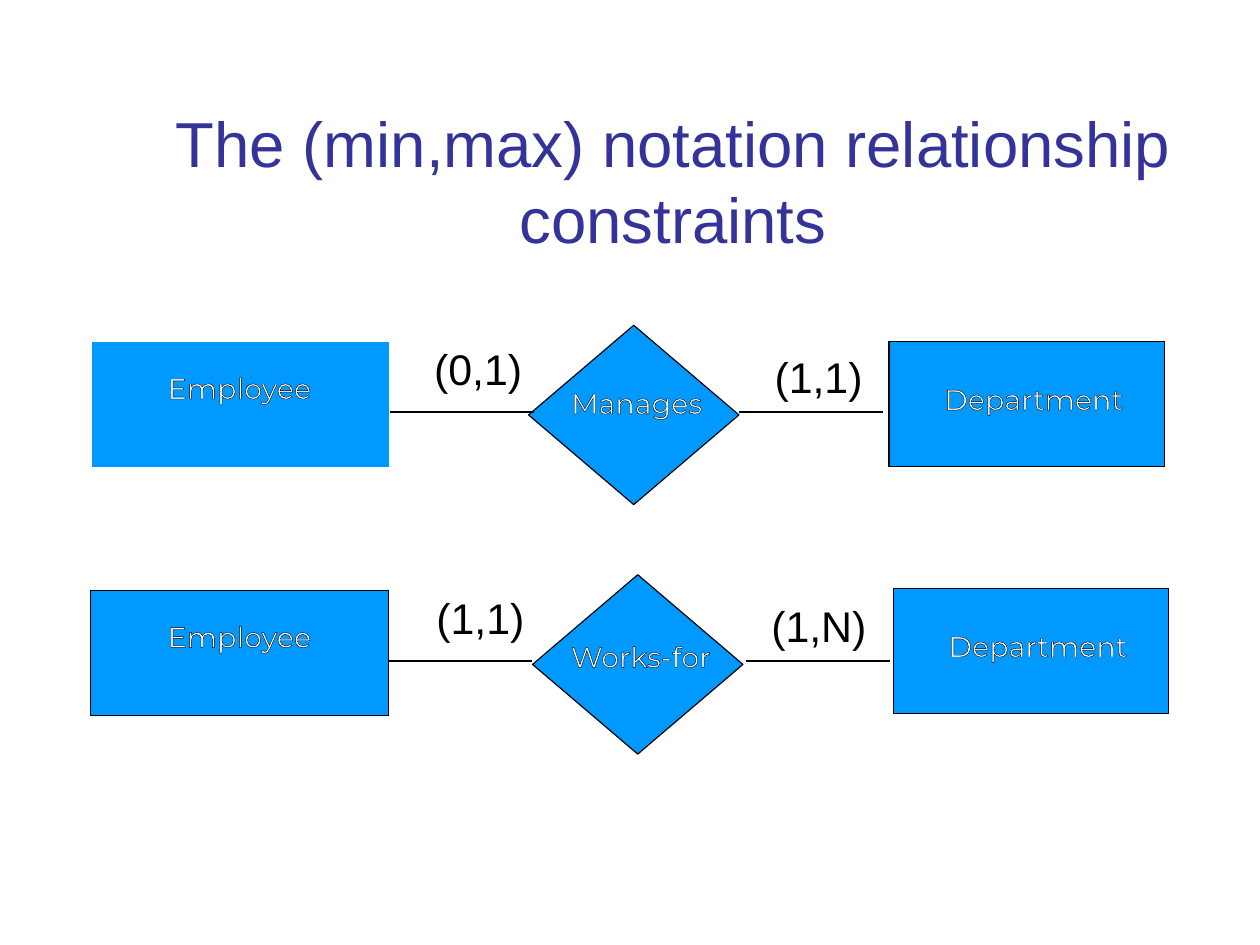
from dataclasses import dataclass

from lxml import etree
from pptx import Presentation
from pptx.dml.color import RGBColor
from pptx.enum.shapes import MSO_CONNECTOR, MSO_SHAPE
from pptx.enum.text import MSO_ANCHOR, MSO_AUTO_SIZE, PP_ALIGN
from pptx.oxml.ns import qn
from pptx.util import Emu, Pt

RECT, DIAMOND = MSO_SHAPE.RECTANGLE, MSO_SHAPE.DIAMOND
STRAIGHT = MSO_CONNECTOR.STRAIGHT
FIT_SHAPE, NO_FIT = MSO_AUTO_SIZE.SHAPE_TO_FIT_TEXT, MSO_AUTO_SIZE.NONE
LEFT, CENTER = PP_ALIGN.LEFT, PP_ALIGN.CENTER
BOTTOM = MSO_ANCHOR.BOTTOM
WIDTH, HEIGHT = Emu(10080625), Emu(7559675)
TITLE_ONLY = 5


@dataclass(frozen=True)
class Theme:
    title: str = "333399"
    fill: str = "0099FF"
    dark: str = "000000"
    light: str = "FFFFFF"
    body_font: str = "Arial"
    label_font: str = "Montserrat"
    title_size: int = 40
    label_size: int = 18
    range_size: int = 27
    line_width: float = 0.75
    spacing: float = 0.93


THEME = Theme()


# All lengths below are percentages of the slide's width or height.
@dataclass(frozen=True)
class Box:
    left: float
    top: float
    width: float
    height: float

    def emu(self) -> tuple[int, int, int, int]:
        return (x_emu(self.left), y_emu(self.top),
                x_emu(self.width), y_emu(self.height))


@dataclass(frozen=True)
class Node:
    text: str
    shape: int
    box: Box
    label: Box
    line: str = THEME.dark


@dataclass(frozen=True)
class Link:
    text: str
    start: float
    y: float
    label: Box


LINK_LENGTH = 11.45


def x_emu(share: float) -> int:
    return round(WIDTH * share / 100)


def y_emu(share: float) -> int:
    return round(HEIGHT * share / 100)


def employee(left: float, top: float, line: str = THEME.dark) -> Node:
    return Node("Employee", RECT, Box(left, top, 23.68, 13.3),
                Box(12.16, top + 2.78, 13.7, 6.41), line)


def department(left: float, top: float) -> Node:
    return Node("Department", RECT, Box(left, top, 21.87, 13.3),
                Box(left + 4.72, top + 4, 13.52, 4.72))


def relationship(text: str, left: float, top: float, label_top: float) -> Node:
    return Node(text, DIAMOND, Box(left, top, 16.7, 18.98),
                Box(left + 3.6, label_top, 9.98, 6.17))


NODES = [
    employee(7.26, 36.15, THEME.light),
    department(70.56, 36.1),
    relationship("Manages", 41.95, 34.42, 40.51),
    employee(7.17, 62.46),
    department(70.9, 62.23),
    relationship("Works-for", 42.27, 60.82, 67.35),
]

LINKS = [
    Link("(0,1)", 30.92, 43.6, Box(33.56, 36.15, 10.71, 6.29)),
    Link("(1,1)", 58.65, 43.6, Box(60.58, 36.95, 11.98, 6.29)),
    Link("(1,1)", 30.76, 69.95, Box(33.74, 62.52, 11.71, 6.29)),
    Link("(1,N)", 59.17, 69.95, Box(60.32, 63.33, 11.98, 6.29)),
]


def add_run(p, text: str, font: str, size: int, color: str):
    r = p.add_run()
    r.text = text
    r.font.name = font
    r.font.size = Pt(size)
    r.font.color.rgb = RGBColor.from_string(color)
    return r


def outline_run(r, color: str) -> None:
    ln = etree.Element(qn("a:ln"), w=str(Pt(THEME.line_width)))
    fill = etree.SubElement(ln, qn("a:solidFill"))
    etree.SubElement(fill, qn("a:srgbClr"), val=color)
    r.font._element.insert(0, ln)


def add_text(slide, box: Box, wrap: bool):
    """Add a text box and return its paragraph; unwrapped text is centred."""
    tf = slide.shapes.add_textbox(*box.emu()).text_frame
    tf.word_wrap = wrap
    tf.auto_size = FIT_SHAPE if wrap else NO_FIT
    p = tf.paragraphs[0]
    p.alignment = LEFT if wrap else CENTER
    p.line_spacing = THEME.spacing
    return p


def draw_title(slide, text: str) -> None:
    sp = slide.shapes.title
    sp.left, sp.top, sp.width, sp.height = Box(10.89, 11, 85.03, 16.69).emu()
    tf = sp.text_frame
    tf.word_wrap = True
    tf.auto_size = NO_FIT
    tf.vertical_anchor = BOTTOM
    p = tf.paragraphs[0]
    p.alignment = CENTER
    add_run(p, text, THEME.body_font, THEME.title_size, THEME.title)


def draw_node(slide, node: Node) -> None:
    sp = slide.shapes.add_shape(node.shape, *node.box.emu())
    sp.shadow.inherit = False
    sp.fill.solid()
    sp.fill.fore_color.rgb = RGBColor.from_string(THEME.fill)
    sp.line.color.rgb = RGBColor.from_string(node.line)
    sp.line.width = Pt(THEME.line_width)
    p = add_text(slide, node.label, wrap=False)
    r = add_run(p, node.text, THEME.label_font, THEME.label_size, THEME.light)
    outline_run(r, THEME.dark)


def draw_link(slide, link: Link) -> None:
    y = y_emu(link.y)
    line = slide.shapes.add_connector(
        STRAIGHT, x_emu(link.start), y, x_emu(link.start + LINK_LENGTH), y)
    line.line.color.rgb = RGBColor.from_string(THEME.dark)
    line.line.width = Pt(THEME.line_width)
    etree.SubElement(line._element.spPr, qn("a:effectLst"))
    p = add_text(slide, link.label, wrap=True)
    add_run(p, link.text, THEME.body_font, THEME.range_size, THEME.dark)


def main() -> None:
    prs = Presentation()
    prs.slide_width, prs.slide_height = WIDTH, HEIGHT
    slide = prs.slides.add_slide(prs.slide_layouts[TITLE_ONLY])
    draw_title(slide, "The (min,max) notation relationship constraints")
    for node in NODES:
        draw_node(slide, node)
    for link in LINKS:
        draw_link(slide, link)
    prs.save("out.pptx")


if __name__ == "__main__":
    main()
